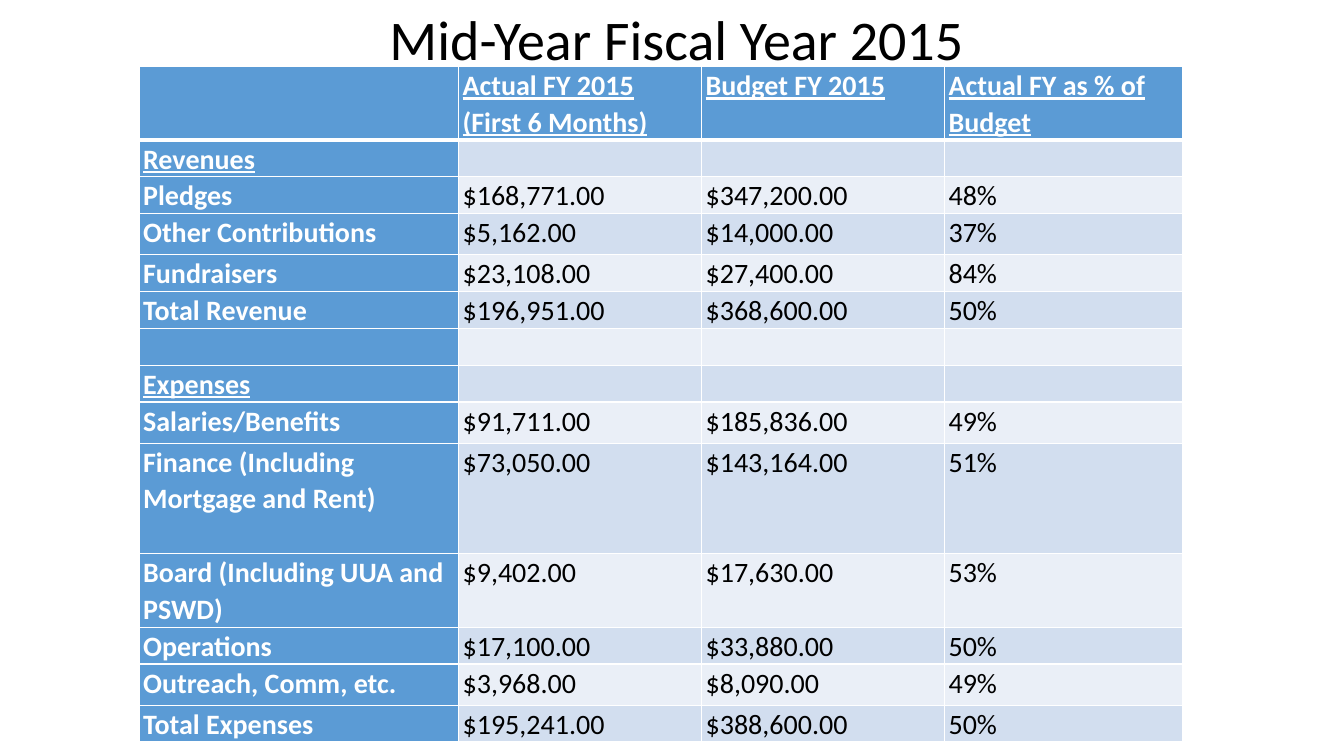
import dataclasses

import lxml.etree
import pptx
import pptx.dml.color
import pptx.enum.text
import pptx.oxml.ns
import pptx.util

WHITE = pptx.dml.color.RGBColor(0xFF, 0xFF, 0xFF)
BLACK = pptx.dml.color.RGBColor(0x00, 0x00, 0x00)
BLUE = pptx.dml.color.RGBColor(0x5B, 0x9B, 0xD5)
DARK = pptx.dml.color.RGBColor(0xD2, 0xDE, 0xEF)
PALE = pptx.dml.color.RGBColor(0xEA, 0xEF, 0xF7)
FONT = "Calibri"
SIZE = pptx.util.Pt(20)

# Slide and its grid of 160 columns by 90 rows
deck = pptx.Presentation()
deck.slide_width = pptx.util.Inches(13.33)
deck.slide_height = pptx.util.Inches(7.5)
LINE = 4.38  # grid rows taken by one line of table text
WIDTHS = (38.05, 28.93, 28.93, 28.33)


def across(cols: float) -> pptx.util.Emu:
    return pptx.util.Emu(round(deck.slide_width * cols / 160))


def down(rows: float) -> pptx.util.Emu:
    return pptx.util.Emu(round(deck.slide_height * rows / 90))


@dataclasses.dataclass
class Entry:
    label: str = ""
    actual: str = ""
    budget: str = ""
    share: str = ""
    lines: float = 1
    under: bool = False


ENTRIES = [
    Entry("", "Actual FY 2015 (First 6 Months)", "Budget FY 2015",
          "Actual FY as % of Budget", lines=2, under=True),
    Entry("Revenues", under=True),
    Entry("Pledges", "$168,771.00", "$347,200.00", "48%"),
    Entry("Other Contributions", "$5,162.00", "$14,000.00", "37%", lines=1.12),
    Entry("Fundraisers", "$23,108.00", "$27,400.00", "84%"),
    Entry("Total Revenue", "$196,951.00", "$368,600.00", "50%"),
    Entry(),
    Entry("Expenses", under=True),
    Entry("Salaries/Benefits", "$91,711.00", "$185,836.00", "49%", lines=1.12),
    Entry("Finance (Including Mortgage and Rent)", "$73,050.00",
          "$143,164.00", "51%", lines=3),
    Entry("Board (Including UUA and PSWD)", "$9,402.00", "$17,630.00", "53%",
          lines=2),
    Entry("Operations", "$17,100.00", "$33,880.00", "50%"),
    Entry("Outreach, Comm, etc.", "$3,968.00", "$8,090.00", "49%", lines=1.12),
    Entry("Total Expenses", "$195,241.00", "$388,600.00", "50%"),
]


def add_part(parent, tag: str, **attrs: str):
    return lxml.etree.SubElement(parent, pptx.oxml.ns.qn(tag), **attrs)


def edge(cell, side: str, points: int) -> None:
    line = add_part(cell._tc.get_or_add_tcPr(), f"a:ln{side}",
                    w=str(pptx.util.Pt(points)))
    add_part(add_part(line, "a:solidFill"), "a:srgbClr", val=str(WHITE))


def fill_cell(cell, text: str, row: int, col: int, under: bool) -> None:
    head = row == 0 or col == 0
    cell.margin_left = cell.margin_right = pptx.util.Inches(0.04)
    cell.margin_top = cell.margin_bottom = 0
    # Borders, with a thick rule below the header
    edge(cell, "L", 1)
    edge(cell, "R", 1)
    edge(cell, "T", 3 if row == 1 else 1)
    edge(cell, "B", 3 if row == 0 else 1)
    cell.fill.solid()
    cell.fill.fore_color.rgb = BLUE if head else DARK if row % 2 else PALE
    # Text
    para = cell.text_frame.paragraphs[0]
    para.line_spacing = 1.07
    if not text:
        add_part(para._p, "a:endParaRPr", sz=str(int(SIZE.pt * 100)))
        return
    para.text = text
    font = para.runs[0].font
    font.name, font.size = FONT, SIZE
    font.bold, font.underline = head, under
    font.color.rgb = WHITE if head else BLACK


slide = deck.slides.add_slide(deck.slide_layouts[5])

# Title
title = slide.shapes.title
title.left, title.top = across(20.53), down(-22.08)
title.width, title.height = across(120), down(31.32)
frame = title.text_frame
frame.text = "Mid-Year Fiscal Year 2015"
frame.auto_size = pptx.enum.text.MSO_AUTO_SIZE.NONE
frame.vertical_anchor = pptx.enum.text.MSO_ANCHOR.BOTTOM
para = frame.paragraphs[0]
para.alignment = pptx.enum.text.PP_ALIGN.CENTER
para.line_spacing = 0.9
font = para.runs[0].font
font.name, font.size = FONT, pptx.util.Pt(40)
font.color.rgb = BLACK

# Budget table
total = sum(entry.lines for entry in ENTRIES)
table = slide.shapes.add_table(
    len(ENTRIES), len(WIDTHS), across(16.56), down(7.92),
    across(sum(WIDTHS)), down(total * LINE)).table
table.first_col = True
for col, width in enumerate(WIDTHS):
    table.columns[col].width = across(width)
for row, entry in enumerate(ENTRIES):
    table.rows[row].height = down(entry.lines * LINE)
    texts = (entry.label, entry.actual, entry.budget, entry.share)
    for col, text in enumerate(texts):
        fill_cell(table.cell(row, col), text, row, col, entry.under)

deck.save("out.pptx")
